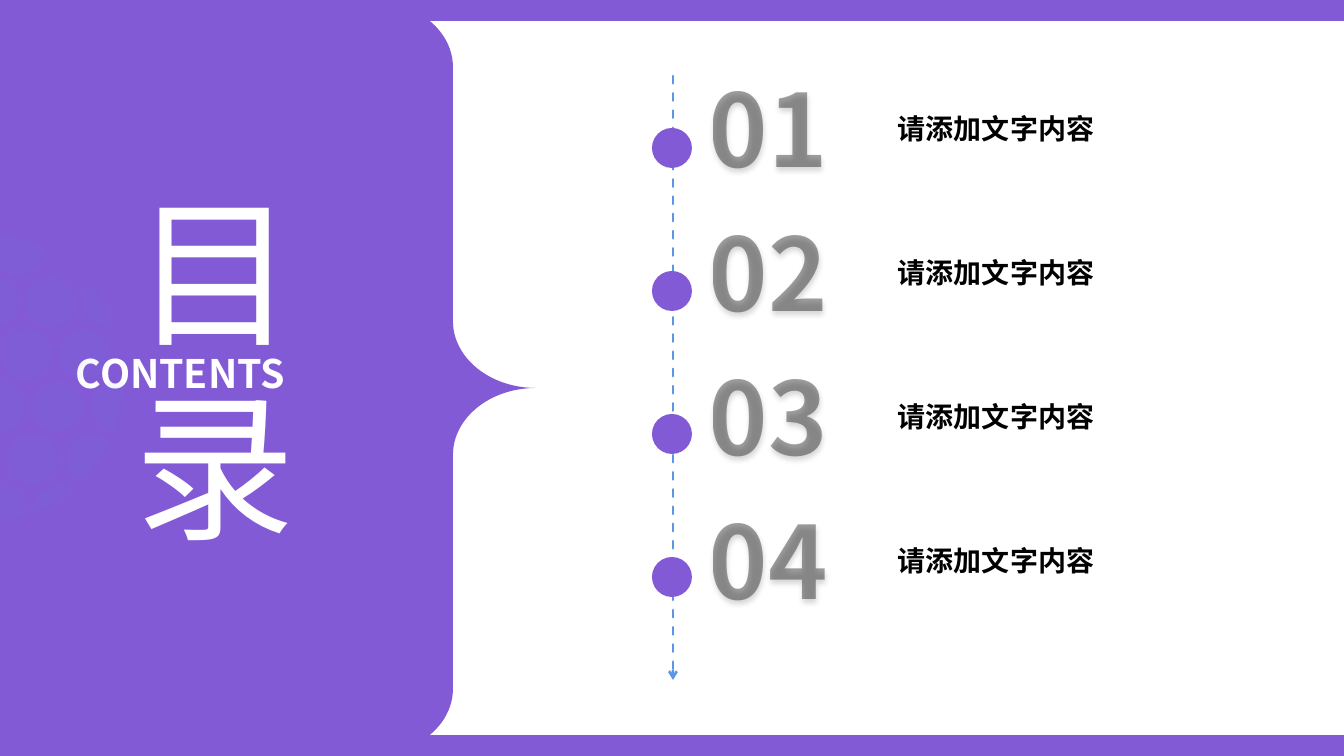
import math

import pptx
import pptx.dml.color
import pptx.enum.dml
import pptx.enum.shapes
import pptx.enum.text
import pptx.oxml
import pptx.oxml.ns
import pptx.util

PX = 914400 / 100.8
FINE = 100
NS = pptx.oxml.ns.nsdecls("a")
FONT = "Noto Sans CJK SC"
PURPLE = pptx.dml.color.RGBColor(0x82, 0x5A, 0xD6)
BLUE = pptx.dml.color.RGBColor(0x5A, 0x96, 0xE6)
WHITE = pptx.dml.color.RGBColor(0xFF, 0xFF, 0xFF)
BLACK = pptx.dml.color.RGBColor(0x00, 0x00, 0x00)
INK = pptx.dml.color.RGBColor(0x0D, 0x0D, 0x0D)


def px(*lengths):
    return [round(length * PX) for length in lengths]


def write(shape, text, size, color, bold=True, spacing=None):
    frame = shape.text_frame
    frame.word_wrap = True
    frame.auto_size = pptx.enum.text.MSO_AUTO_SIZE.NONE
    paragraph = frame.paragraphs[0]
    paragraph.alignment = pptx.enum.text.PP_ALIGN.LEFT
    paragraph.line_spacing = spacing
    run = paragraph.add_run()
    run.text = text
    run.font.size = pptx.util.Pt(size)
    run.font.bold = bold
    run.font.name = FONT
    run.font.color.rgb = color
    run.font._element.append(pptx.oxml.parse_xml(f'<a:ea {NS} typeface="{FONT}"/>'))
    return run


deck = pptx.Presentation()
deck.slide_width, deck.slide_height = px(1344, 756)
slide = deck.slides.add_slide(deck.slide_layouts[5])
shapes = slide.shapes

timeline = shapes.add_connector(
    pptx.enum.shapes.MSO_CONNECTOR.STRAIGHT, *px(673, 76, 673, 680))
timeline.line.color.rgb = BLUE
timeline.line.width = pptx.util.Pt(1.75)
timeline.line.dash_style = pptx.enum.dml.MSO_LINE.DASH
timeline_stroke = timeline.line._get_or_add_ln()
timeline_stroke.set("cap", "rnd")
timeline_stroke.append(pptx.oxml.parse_xml(f'<a:tailEnd {NS} type="arrow"/>'))
timeline._element.spPr.append(pptx.oxml.parse_xml(f"<a:effectLst {NS}/>"))

purple_parts = []
for edge_top in (0, 735):
    purple_parts.append(shapes.add_shape(
        pptx.enum.shapes.MSO_SHAPE.RECTANGLE, *px(0, edge_top, 1344, 21)))

curves = [
    [(369, 0), (415, 0), (453, 30), (453, 67)],
    [(453, 321), (453, 358), (490, 388), (536, 388)],
    [(536, 388), (490, 388), (453, 418), (453, 455)],
    [(453, 689), (453, 726), (415, 756), (369, 756)],
]
outline = []
for curve in curves:
    for step in range(25):
        t = step / 24
        weights = ((1 - t) ** 3, 3 * t * (1 - t) ** 2, 3 * t * t * (1 - t), t ** 3)
        outline.append([FINE * sum(w * point[axis] for w, point in zip(weights, curve))
                        for axis in (0, 1)])
panel = shapes.build_freeform(0, 0, scale=PX / FINE)
panel.add_line_segments(outline + [(0, 756 * FINE)], close=True)
purple_parts.append(panel.convert_to_shape())

heading = shapes.title
heading.left, heading.top, heading.width, heading.height = px(124, 173, 311, 393)
heading.text_frame.margin_top = heading.text_frame.margin_bottom = 0
heading.text_frame.vertical_anchor = pptx.enum.text.MSO_ANCHOR.TOP
write(heading, "目录", 115, WHITE, False, 1.0)
shapes._spTree.append(heading._element)

contents = shapes.add_shape(
    pptx.enum.shapes.MSO_SHAPE.RECTANGLE, *px(66, 358, 307, 38))
contents.text_frame.vertical_anchor = pptx.enum.text.MSO_ANCHOR.MIDDLE
contents.text_frame.margin_top = contents.text_frame.margin_bottom = 0
write(contents, "CONTENTS", 28, WHITE, True, 0.8)
contents.shadow.inherit = False
contents.line.fill.background()
contents.fill.background()

globe_x, globe_y, globe_radius = -21, 378, 145
globe = shapes.build_freeform(0, 250 * FINE, scale=PX / FINE)
for row, first_x in enumerate((18, -7, 26, 0, 33, 1)):
    for column in range(3):
        center_x, center_y = first_x + 58 * column, 250 + 52.2 * row
        if math.hypot(center_x - globe_x, center_y - globe_y) > globe_radius + 15:
            continue
        rim = []
        for step in range(36):
            angle = math.tau * step / 36
            dx = center_x + 25 * math.cos(angle) - globe_x
            dy = center_y + 25 * math.sin(angle) - globe_y
            shrink = min(1, globe_radius / math.hypot(dx, dy))
            rim.append((FINE * max(0, globe_x + dx * shrink),
                        FINE * (globe_y + dy * shrink)))
        globe.move_to(*rim[0])
        globe.add_line_segments(rim[1:], close=True)
globe_dots = globe.convert_to_shape()
globe_dots.shadow.inherit = False
globe_dots.line.fill.background()
globe_dots.fill.solid()
globe_dots.fill.fore_color.rgb = BLUE
globe_dots.fill._xPr.solidFill[0].append(
    pptx.oxml.parse_xml(f'<a:alpha {NS} val="6000"/>'))

for index in range(4):
    number = shapes.add_textbox(*px(699, 62 + 144 * index, 150, 156))
    digits = write(number, f"{index + 1:02}", 72, INK)
    digits.font.fill._xPr.solidFill[0].append(
        pptx.oxml.parse_xml(f'<a:alpha {NS} val="40000"/>'))
    number._element.spPr.append(pptx.oxml.parse_xml(
        f'<a:effectLst {NS}><a:outerShdw blurRad="50800" dist="25400" dir="5400000">'
        '<a:srgbClr val="000000"><a:alpha val="40000"/></a:srgbClr>'
        '</a:outerShdw></a:effectLst>'))
    label = shapes.add_textbox(*px(888, 107 + 144 * index, 389, 50))
    write(label, "请添加文字内容", 20, BLACK)
    purple_parts.append(shapes.add_shape(
        pptx.enum.shapes.MSO_SHAPE.OVAL, *px(652, 128 + 143 * index, 40, 40)))

for part in purple_parts:
    part.shadow.inherit = False
    part.line.fill.background()
    part.fill.solid()
    part.fill.fore_color.rgb = PURPLE

deck.save("out.pptx")
